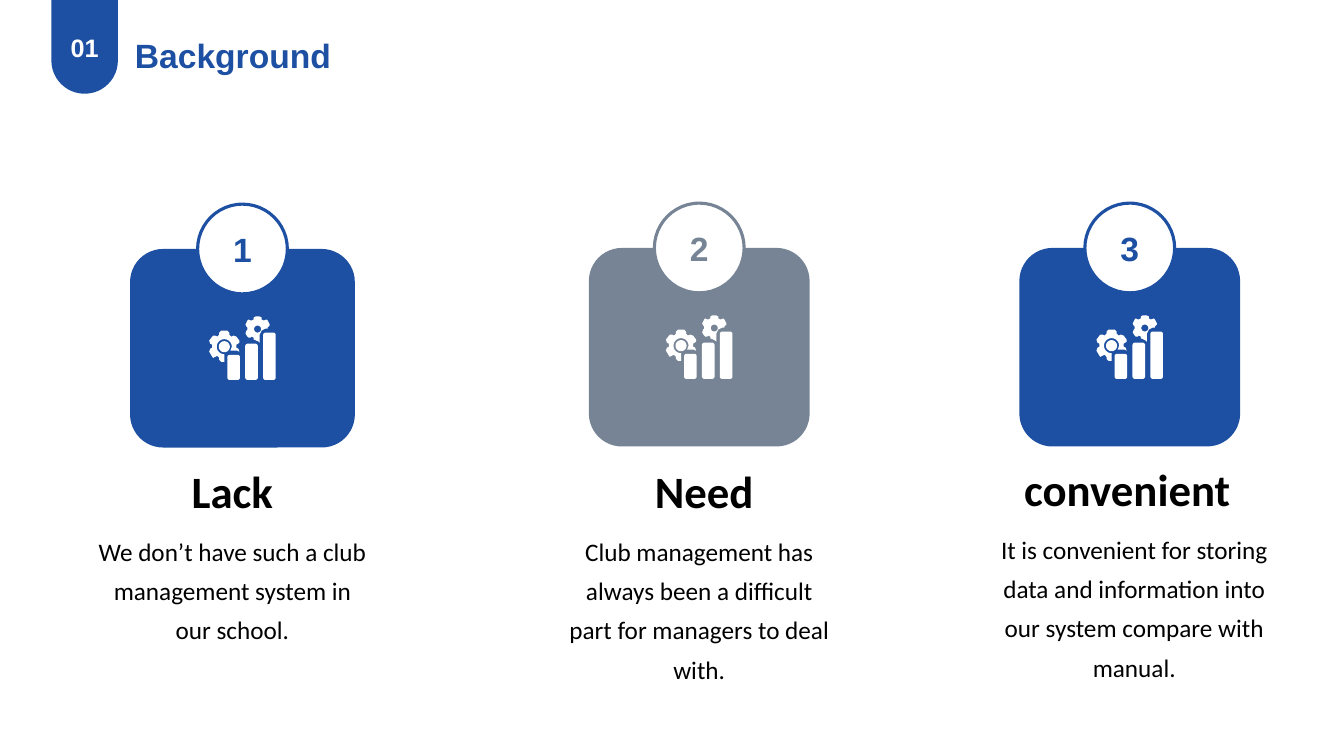
import math

import pptx
import pptx.dml.color
import pptx.enum.shapes
import pptx.enum.text
import pptx.util

Inches = pptx.util.Inches
RGBColor = pptx.dml.color.RGBColor
SHAPE = pptx.enum.shapes.MSO_SHAPE
ANCHOR = pptx.enum.text.MSO_ANCHOR

BLUE = RGBColor(0x1D, 0x50, 0xA2)
GREY = RGBColor(0x77, 0x84, 0x95)
WHITE = RGBColor(0xFF, 0xFF, 0xFF)
BLACK = RGBColor(0x00, 0x00, 0x00)


def write(shape, text, size, font, color, bold=True, anchor=ANCHOR.MIDDLE, wrap=True):
    """Put one centred paragraph into the shape and return it."""
    frame = shape.text_frame
    frame.word_wrap = wrap
    frame.vertical_anchor = anchor
    para = frame.paragraphs[0]
    para.alignment = pptx.enum.text.PP_ALIGN.CENTER
    span = para.add_run()
    span.text = text
    span.font.size = pptx.util.Pt(size)
    span.font.name = font
    span.font.bold = bold
    span.font.color.rgb = color
    return para


def arc(x, y, radius, start, end, step):
    """List points on a circle from start to end, in degrees clockwise from the right."""
    return [
        (x + radius * math.cos(math.radians(angle)), y + radius * math.sin(math.radians(angle)))
        for angle in range(start, end + step, step)
    ]


# Icon outlines, in hundredths of an inch
large_gear = [
    (12, 14), (18, 14), (20, 16), (20, 18), (22, 20), (24, 19), (27, 20), (30, 24),
    (30, 26), (27, 28), (27, 31), (29, 32), (30, 35), (28, 34), (21, 34),
    *arc(15, 30, 7.5, 0, -270, -15),
    (15, 40), (15, 45), (12, 45), (10, 43), (10, 41), (8, 39), (6, 40), (4, 41),
    (3, 40), (0, 35), (1, 32), (3, 31), (3, 28), (1, 27), (0, 24), (3, 20),
    (4, 19), (6, 19), (8, 20), (10, 18), (10, 16),
]
small_gear = [
    (46, 0), (50, 0), (52, 1), (52, 3), (54, 4), (57, 3), (58, 4), (60, 8),
    (60, 9), (58, 11), (58, 12), (56, 12), (52, 14), (50, 18), (50, 26), (49, 25),
    (45, 23), (44, 23), (44, 21), (42, 20), (41, 21), (39, 21), (38, 20), (36, 17),
    (37, 14), (38, 13), (38, 11), (37, 10), (36, 8), (38, 4), (39, 3), (41, 4),
    (42, 4), (44, 3), (44, 1),
]
icon_outlines = [
    large_gear,
    arc(15, 30, 5.5, 0, 345, 15),
    small_gear,
    arc(48, 12.5, 3.5, 0, 340, 20),
]
bar_width, bar_bottom, bar_corner = 12.5, 63, 2.5
for bar in range(3):
    left, top = 18 + 17.75 * bar, 38 - 11 * bar
    near, far = left + bar_corner, left + bar_width - bar_corner
    high, low = top + bar_corner, bar_bottom - bar_corner
    icon_outlines.append([
        *arc(far, low, bar_corner, 0, 90, 15),
        *arc(near, low, bar_corner, 90, 180, 15),
        *arc(near, high, bar_corner, 180, 270, 15),
        *arc(far, high, bar_corner, 270, 360, 15),
    ])

deck = pptx.Presentation()
deck.slide_width = Inches(13.33)
deck.slide_height = Inches(7.5)
slide = deck.slides.add_slide(deck.slide_layouts[5])

# Section tab and title
tab = slide.shapes.add_shape(
    SHAPE.ROUND_2_SAME_RECTANGLE, Inches(0.51), Inches(-0.02), Inches(0.66), Inches(0.95))
tab.adjustments[0] = 0
tab.adjustments[1] = 0.5
tab.shadow.inherit = False
tab.fill.solid()
tab.fill.fore_color.rgb = BLUE
tab.line.fill.background()
write(tab, "01", 18, "Arial", WHITE, wrap=False)
tab.text_frame.margin_top = Inches(0.17)

title = slide.shapes.title
title.left, title.top = Inches(1.24), Inches(0.3)
title.width, title.height = Inches(2.14), Inches(0.5)
write(title, "Background", 24, "Arial", BLUE, anchor=ANCHOR.TOP, wrap=False)

for header in (tab, title):
    header.text_frame.margin_left = header.text_frame.margin_right = 0

# Card left, top, width; heading left, width; body left, width, height
cards = [
    (BLUE, (1.29, 2.47, 2.23), (0.87, 2.87), (0.87, 2.87, 1.55), "Lack",
     "We don’t have such a club management system in our school."),
    (GREY, (5.84, 2.46, 2.19), (5.55, 2.87), (5.5, 2.87, 1.55), "Need",
     "Club management has always been a difficult part for managers to deal with."),
    (BLUE, (10.11, 2.46, 2.19), (9.77, 2.82), (9.77, 2.96, 1.84), "convenient",
     "It is convenient for storing data and information into our system compare with manual."),
]
badge_size = 0.89
text_tops = [4.66, 4.66, 4.64]

for number, (card, text_top) in enumerate(zip(cards, text_tops), start=1):
    color, (left, top, width), heading_place, body_place, heading_text, body_text = card
    center = left + width / 2
    shapes = slide.shapes.add_group_shape().shapes

    panel = shapes.add_shape(
        SHAPE.ROUNDED_RECTANGLE, Inches(left), Inches(top), Inches(width), Inches(1.97))
    panel.shadow.inherit = False
    panel.fill.solid()
    panel.fill.fore_color.rgb = color
    panel.line.fill.background()

    badge = shapes.add_shape(
        SHAPE.OVAL, Inches(center - badge_size / 2), Inches(top - badge_size / 2),
        Inches(badge_size), Inches(badge_size))
    badge.shadow.inherit = False
    badge.fill.solid()
    badge.fill.fore_color.rgb = WHITE
    badge.line.color.rgb = color
    badge.line.width = pptx.util.Pt(2.25)
    write(badge, str(number), 24, "Arial", color)

    builder = shapes.build_freeform(
        *[Inches(value / 100) for value in large_gear[0]], scale=1.0)
    for outline in icon_outlines:
        points = [(Inches(x / 100), Inches(y / 100)) for x, y in outline]
        if outline is not large_gear:
            builder.move_to(*points[0])
        builder.add_line_segments(points[1:], close=True)
    icon = builder.convert_to_shape(Inches(center - 0.33), Inches(top + 0.67))
    icon.shadow.inherit = False
    icon.fill.solid()
    icon.fill.fore_color.rgb = WHITE
    icon.line.fill.background()

    heading_left, heading_width = heading_place
    heading = shapes.add_textbox(
        Inches(heading_left), Inches(text_top), Inches(heading_width), Inches(0.52))
    write(heading, heading_text, 32, "Calibri", BLACK, anchor=ANCHOR.BOTTOM)

    body_left, body_width, body_height = body_place
    body = shapes.add_textbox(
        Inches(body_left), Inches(text_top + 0.52), Inches(body_width), Inches(body_height))
    para = write(body, body_text, 18, "Calibri", BLACK, bold=False, anchor=ANCHOR.TOP)
    para.line_spacing = 1.3

deck.save("out.pptx")
